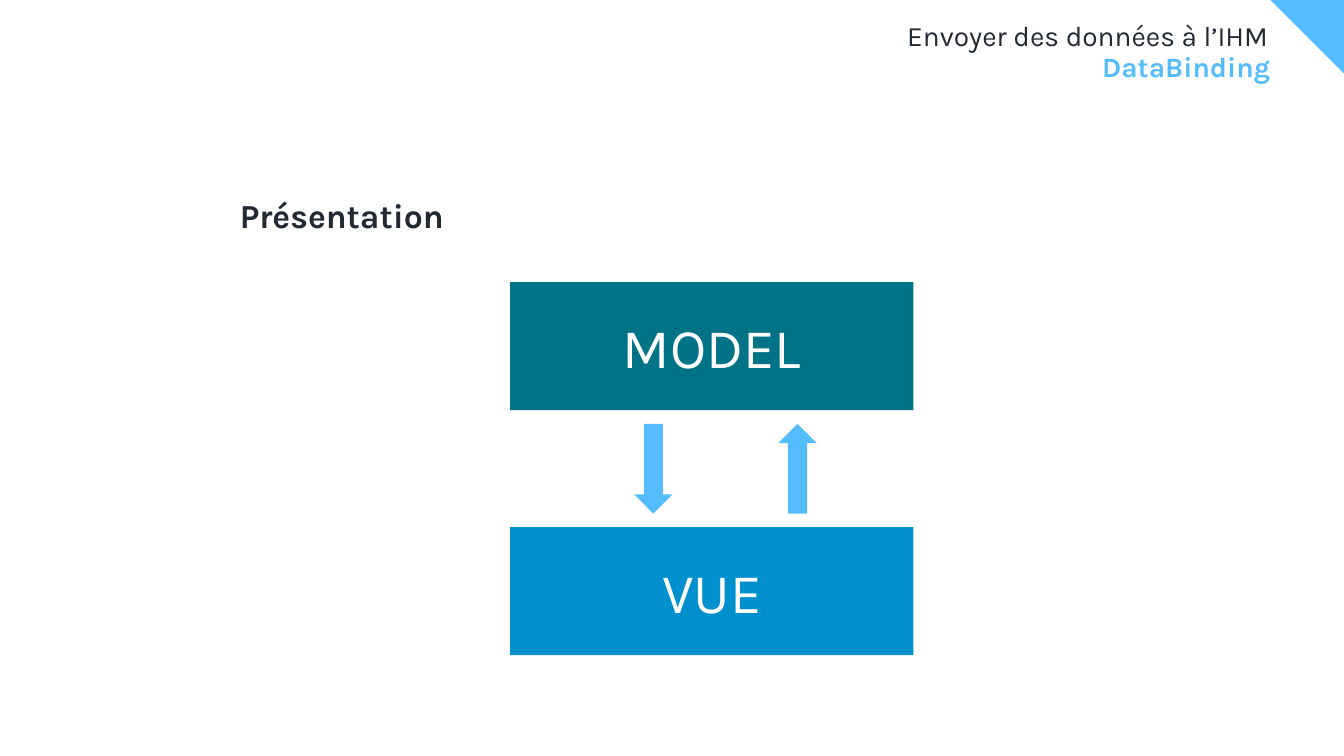
from pptx import Presentation
from pptx.dml.color import RGBColor
from pptx.enum import shapes, text
from pptx.util import Inches, Pt

COLORS = {
    "ink": "222933",
    "sky": "55BDFD",
    "teal": "007386",
    "blue": "0090CD",
    "white": "FFFFFF",
}
WIDTH, HEIGHT = 13.33, 7.5


def color(name):
    return RGBColor.from_string(COLORS[name])


def paint(shape, name):
    shape.shadow.inherit = False
    shape.fill.solid()
    shape.fill.fore_color.rgb = color(name)
    shape.line.fill.background()


def write(shape, words, size, tint, bold=False, align="LEFT", **para_format):
    para = shape.text_frame.paragraphs[0]
    para.alignment = getattr(text.PP_ALIGN, align)
    for name, value in para_format.items():
        setattr(para, name, value)
    span = para.add_run()
    span.text = words
    for name, value in {"name": "Karla", "size": Pt(size), "bold": bold}.items():
        setattr(span.font, name, value)
    span.font.color.rgb = color(tint)


def add_text(page, box, words, size, tint, inset=None, **style):
    shape = page.shapes.add_textbox(*map(Inches, box))
    frame = shape.text_frame
    frame.word_wrap = True
    if inset is not None:
        for side in ("left", "top", "right", "bottom"):
            setattr(frame, f"margin_{side}", Inches(inset))
    write(shape, words, size, tint, line_spacing=0.9, **style)


def add_corner(page, right, side):
    builder = page.shapes.build_freeform(Inches(right - side), 0)
    builder.add_line_segments([(Inches(right), 0), (Inches(right), Inches(side))])
    paint(builder.convert_to_shape(), "sky")


def add_header(page, left, top, width):
    add_text(page, (left, top, width, 0.31), "Envoyer des données à l’IHM",
             20, "ink", inset=0, align="RIGHT")
    add_text(page, (left, top + 0.31, width + 0.02, 0.43), "DataBinding",
             20, "sky", inset=0, bold=True, align="RIGHT")


def add_binding_diagram(page, left, top, width, height):
    block_height = 1.27
    gap = height - 2 * block_height

    # Model above, view below
    blocks = [("MODEL", "teal", top), ("VUE", "blue", top + block_height + gap)]
    for label, fill, block_top in blocks:
        block = page.shapes.add_shape(
            shapes.MSO_SHAPE.RECTANGLE,
            *map(Inches, (left, block_top, width, block_height)))
        paint(block, fill)
        block.text_frame.vertical_anchor = text.MSO_ANCHOR.MIDDLE
        write(block, label, 40, "white", align="CENTER")

    # Arrows centred in the gap between the blocks
    arrow_width, arrow_height = 0.38, 0.89
    arrow_top = top + block_height + (gap - arrow_height) / 2
    for kind, offset in (("DOWN_ARROW", 1.23), ("UP_ARROW", 2.66)):
        arrow = page.shapes.add_shape(
            getattr(shapes.MSO_SHAPE, kind),
            *map(Inches, (left + offset, arrow_top, arrow_width, arrow_height)))
        paint(arrow, "sky")


def main():
    deck = Presentation()
    deck.slide_width, deck.slide_height = Inches(WIDTH), Inches(HEIGHT)
    page = deck.slides.add_slide(deck.slide_layouts[6])

    add_corner(page, WIDTH, 0.73)
    add_header(page, 0.37, 0.22, 12.21)
    add_text(page, (2.28, 1.93, 10.32, 4.3), "Présentation", 24, "ink", bold=True)
    add_binding_diagram(page, 5.06, 2.8, 4, 3.7)

    deck.save("out.pptx")


if __name__ == "__main__":
    main()
